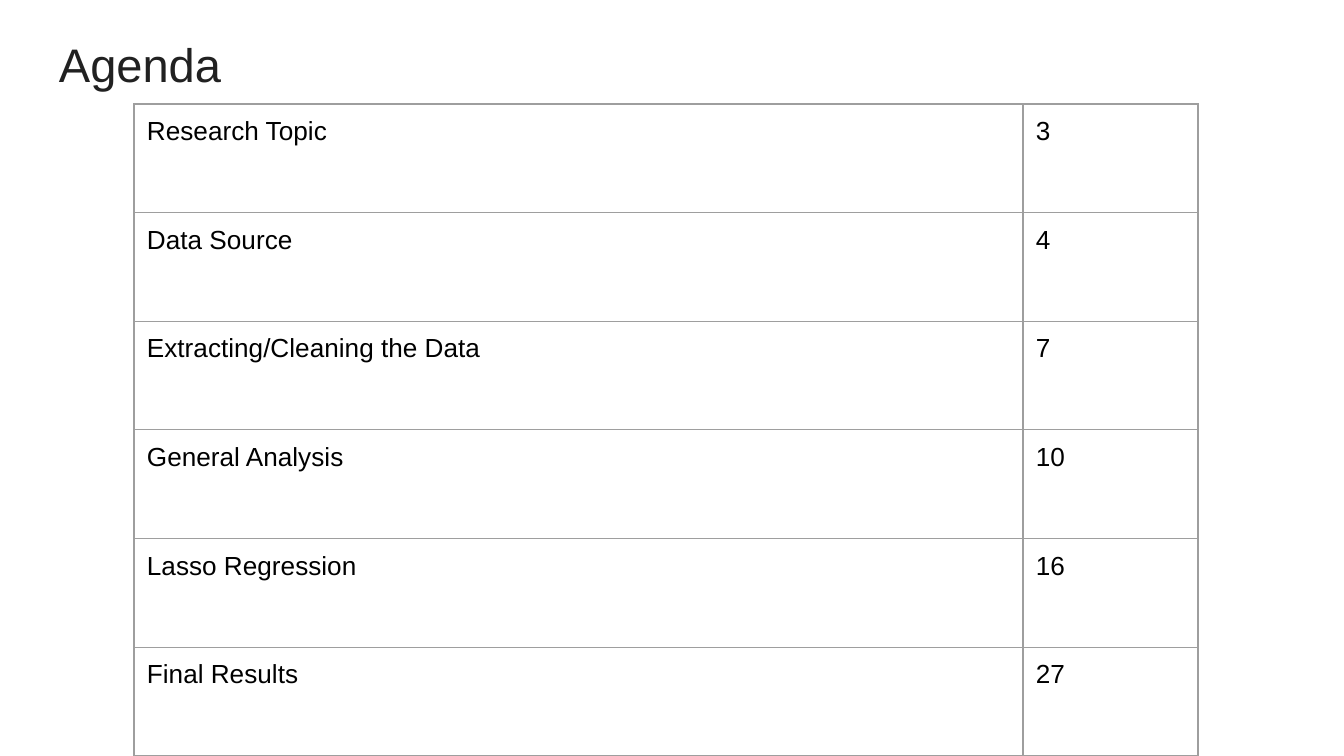
from lxml import etree
from pptx import Presentation, util as u
from pptx.dml.color import RGBColor
from pptx.enum import text as t
from pptx.oxml import ns

TITLE = "Agenda"
ITEMS = [
    ("Research Topic", "3"),
    ("Data Source", "4"),
    ("Extracting/Cleaning the Data", "7"),
    ("General Analysis", "10"),
    ("Lasso Regression", "16"),
    ("Final Results", "27"),
]
THEME = {
    "face": "Arial",
    "title": {"size": 25.2, "ink": "212121"},
    "cell": {"size": 14, "ink": "000000"},
    "line": {"size": 0.75, "ink": "9E9E9E"},
}
WIDE, HIGH = 1344, 756
HEAD = (46, 20, 1253, 85)
LEFT, TOP, TALL = 134, 104, 652
COLS = (889, 175)
PAD = 13


def px(n):
    return round(n * 914400 / 134.4)


def put(obj, vals):
    for key, val in vals.items():
        setattr(obj, key, val)


def pads(*names):
    return {"margin_" + name: px(PAD) for name in names}


def write(frame, words, style):
    para = frame.paragraphs[0]
    run = para.add_run()
    run.text = words
    put(run.font, {"name": THEME["face"], "size": u.Pt(style["size"])})
    run.font.color.rgb = RGBColor.from_string(style["ink"])


def edge(cell, style):
    props = cell._tc.get_or_add_tcPr()
    for spot, side in enumerate(("lnL", "lnR", "lnT", "lnB")):
        line = etree.Element(ns.qn("a:" + side), w=str(u.Pt(style["size"])))
        fill = etree.SubElement(line, ns.qn("a:solidFill"))
        etree.SubElement(fill, ns.qn("a:srgbClr"), val=style["ink"])
        props.insert(spot, line)


def main():
    deck = Presentation()
    put(deck, {"slide_width": px(WIDE), "slide_height": px(HIGH)})
    slide = deck.slides.add_slide(deck.slide_layouts[6])
    sides = pads("left", "right", "top", "bottom")

    grid = slide.shapes.add_table(
        len(ITEMS), len(COLS), *map(px, (LEFT, TOP, sum(COLS), TALL))
    ).table
    put(grid, {"first_row": False, "horz_banding": False})
    for col, width in zip(grid.columns, COLS):
        col.width = px(width)
    for row, item in zip(grid.rows, ITEMS):
        row.height = px(TALL / len(ITEMS))
        for cell, words in zip(row.cells, item):
            put(cell, sides)
            cell.fill.background()
            edge(cell, THEME["line"])
            write(cell.text_frame, words, THEME["cell"])

    head = slide.shapes.add_textbox(*map(px, HEAD)).text_frame
    put(head, {**sides, "word_wrap": True, "vertical_anchor": t.MSO_ANCHOR.BOTTOM})
    write(head, TITLE, THEME["title"])
    deck.save("out.pptx")


if __name__ == "__main__":
    main()
